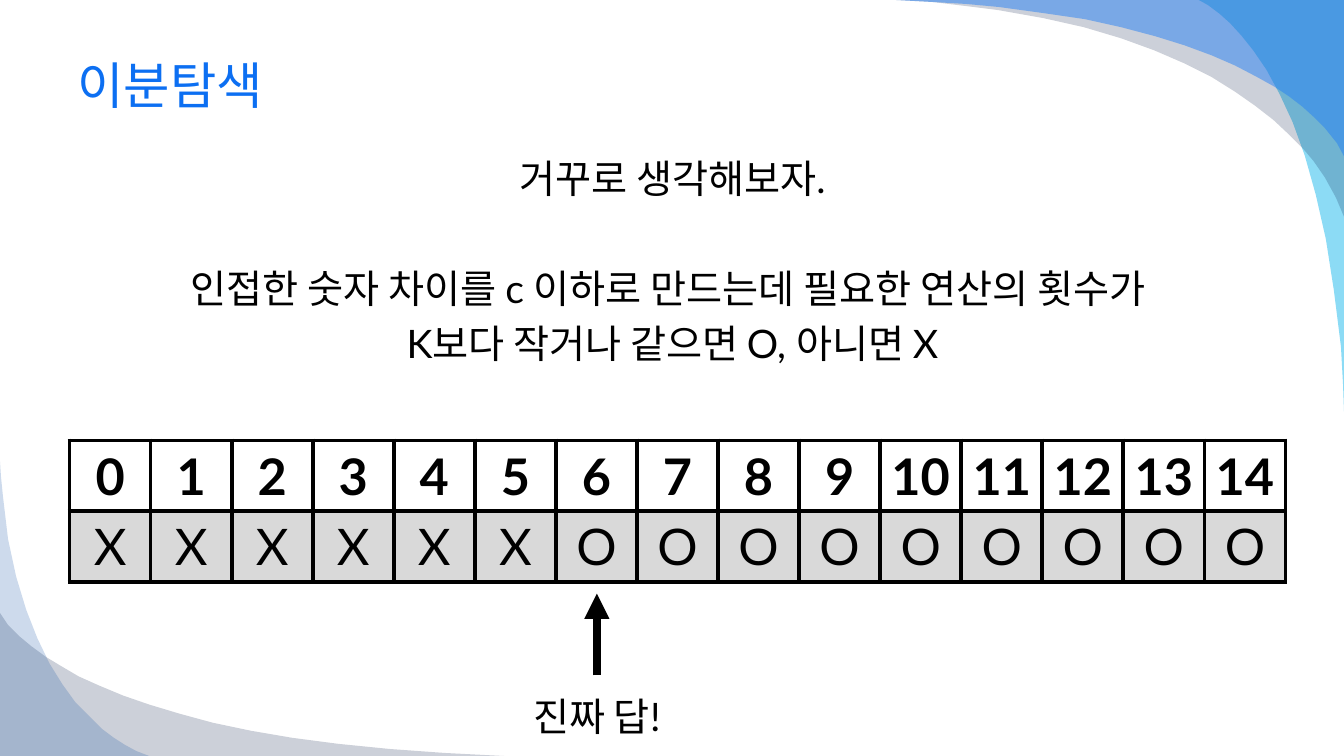
from lxml import etree
from pptx import Presentation
from pptx.dml.color import RGBColor
from pptx.enum.shapes import MSO_CONNECTOR
from pptx.enum.text import MSO_ANCHOR, PP_ALIGN
from pptx.oxml.ns import qn
from pptx.util import Inches, Pt

LEFT, CENTER = PP_ALIGN.LEFT, PP_ALIGN.CENTER
TOP, MIDDLE = MSO_ANCHOR.TOP, MSO_ANCHOR.MIDDLE
STRAIGHT = MSO_CONNECTOR.STRAIGHT

BLACK = RGBColor(0x00, 0x00, 0x00)
WHITE = RGBColor(0xFF, 0xFF, 0xFF)
GRAY = RGBColor(0xD9, 0xD9, 0xD9)
TITLE_BLUE = RGBColor(0x0C, 0x6F, 0xF2)
CYAN = RGBColor(0x00, 0xB1, 0xE9)
NAVY = RGBColor(0x02, 0x17, 0x41)
SKY = RGBColor(0x24, 0x7F, 0xF4)
ROYAL = RGBColor(0x08, 0x4A, 0xA1)

FONT = "Lato"
LINE_GAP = 5.6
SECTION_GAP = 45

TOP_RIGHT = (13.33, 0)
BOTTOM_LEFT = (0, 7.5)

SWOOSHES = [
    (CYAN, 45, TOP_RIGHT, [
        (11.89, 0), (11.98, 0.05), (12.1, 0.14), (12.2, 0.23), (12.31, 0.35),
        (12.43, 0.5), (12.56, 0.69), (12.69, 0.93), (12.82, 1.21), (12.94, 1.54),
        (13.05, 1.93), (13.15, 2.37), (13.23, 2.88), (13.3, 3.44), (13.32, 3.8),
        (13.33, 4.08)]),
    (NAVY, 20, TOP_RIGHT, [
        (8.89, 0), (9.25, 0.02), (9.58, 0.06), (9.9, 0.1), (10.35, 0.18),
        (10.75, 0.27), (11.12, 0.38), (11.45, 0.5), (11.75, 0.63), (12.01, 0.76),
        (12.25, 0.91), (12.45, 1.05), (12.63, 1.19), (12.79, 1.34), (12.92, 1.47),
        (13.03, 1.6), (13.14, 1.76), (13.25, 1.96), (13.33, 2.15)]),
    (SKY, 49, TOP_RIGHT, [
        (8.89, 0), (9.25, 0.02), (9.59, 0.04), (9.91, 0.07), (10.35, 0.13),
        (10.76, 0.19), (11.12, 0.27), (11.46, 0.36), (11.75, 0.45), (12.02, 0.55),
        (12.25, 0.65), (12.46, 0.76), (12.64, 0.86), (12.79, 0.96), (12.92, 1.06),
        (13.03, 1.16), (13.14, 1.27), (13.26, 1.42), (13.33, 1.55)]),
    (NAVY, 20, BOTTOM_LEFT, [
        (0, 6.08), (0.08, 6.2), (0.19, 6.31), (0.31, 6.41), (0.46, 6.52),
        (0.61, 6.61), (0.78, 6.71), (0.98, 6.8), (1.22, 6.9), (1.48, 6.99),
        (1.78, 7.08), (2.11, 7.17), (2.49, 7.25), (2.9, 7.32), (3.36, 7.38),
        (3.86, 7.43), (4.41, 7.47), (5, 7.5)]),
    (ROYAL, 20, BOTTOM_LEFT, [
        (1.48, 7.5), (1.35, 7.45), (1.24, 7.39), (1.13, 7.32), (1.01, 7.23),
        (0.89, 7.11), (0.75, 6.97), (0.62, 6.79), (0.49, 6.58), (0.37, 6.33),
        (0.26, 6.05), (0.16, 5.72), (0.08, 5.35), (0.03, 4.93), (0.01, 4.73),
        (0, 4.58)]),
]


def write(tf, lines, size=28, color=BLACK, bold=False, align=CENTER,
          anchor=TOP, gaps=None):
    tf.word_wrap = True
    tf.vertical_anchor = anchor
    for i, line in enumerate(lines):
        p = tf.paragraphs[0] if i == 0 else tf.add_paragraph()
        p.alignment = align
        if gaps:
            p.space_before = Pt(gaps[i])
        r = p.add_run()
        r.text = line
        r.font.name = FONT
        r.font.size = Pt(size)
        r.font.bold = bold
        r.font.color.rgb = color


def add_text(slide, box, lines, **style):
    sp = slide.shapes.add_textbox(*map(Inches, box))
    write(sp.text_frame, lines, **style)


def add_swoosh(slide, color, opacity, corner, curve):
    points = [(Inches(x), Inches(y)) for x, y in [corner, *curve]]
    builder = slide.shapes.build_freeform(*points[0])
    builder.add_line_segments(points[1:], close=True)
    sp = builder.convert_to_shape()
    sp.shadow.inherit = False
    sp.line.fill.background()
    sp.fill.solid()
    sp.fill.fore_color.rgb = color
    clr = next(sp.element.iter(qn("a:srgbClr")))
    etree.SubElement(clr, qn("a:alpha"), val=str(opacity * 1000))


def add_borders(cell, width):
    tc_pr = cell._tc.get_or_add_tcPr()
    for side in ("lnL", "lnR", "lnT", "lnB"):
        ln = etree.SubElement(tc_pr, qn(f"a:{side}"), w=str(Pt(width)))
        fill = etree.SubElement(ln, qn("a:solidFill"))
        etree.SubElement(fill, qn("a:srgbClr"), val=str(BLACK))


def add_answer_table(slide, rows):
    count = len(rows[0][0])
    frame = slide.shapes.add_table(len(rows), count, Inches(0.69), Inches(4.37),
                                   Inches(12.06), Inches(1.4))
    table = frame.table
    table.first_row = False
    table.horz_banding = False
    for col in table.columns:
        col.width = Inches(12.06 / count)
    for i, (values, fill, bold) in enumerate(rows):
        for j, value in enumerate(values):
            cell = table.cell(i, j)
            add_borders(cell, 3)
            cell.fill.solid()
            cell.fill.fore_color.rgb = fill
            cell.vertical_anchor = MIDDLE
            write(cell.text_frame, [value], size=36, bold=bold, anchor=MIDDLE)


def add_arrow(slide, start, end, width):
    line = slide.shapes.add_connector(STRAIGHT, *map(Inches, start + end))
    line.line.color.rgb = BLACK
    line.line.width = Pt(width)
    etree.SubElement(line.line._get_or_add_ln(), qn("a:tailEnd"), type="triangle")
    etree.SubElement(line.element.spPr, qn("a:effectLst"))


def main():
    prs = Presentation()
    prs.slide_width = Inches(13.33)
    prs.slide_height = Inches(7.5)
    slide = prs.slides.add_slide(prs.slide_layouts[6])

    for swoosh in SWOOSHES:
        add_swoosh(slide, *swoosh)

    add_text(slide, (0.67, 0.33, 12, 1.01), ["이분탐색"], size=36,
             color=TITLE_BLUE, align=LEFT, anchor=MIDDLE)
    add_text(slide, (0.67, 1.48, 12, 2.64),
             ["거꾸로 생각해보자.",
              "인접한 숫자 차이를 c 이하로 만드는데 필요한 연산의 횟수가 ",
              "K보다 작거나 같으면 O, 아니면 X"],
             gaps=[LINE_GAP, SECTION_GAP, LINE_GAP])

    numbers = [str(n) for n in range(15)]
    marks = ["X" if n < 6 else "O" for n in range(15)]
    add_answer_table(slide, [(numbers, WHITE, True), (marks, GRAY, False)])

    add_arrow(slide, (5.92, 6.7), (5.92, 5.89), 6)
    add_text(slide, (4.89, 6.82, 2.06, 0.68), ["진짜 답!"], gaps=[LINE_GAP])

    prs.save("out.pptx")


if __name__ == "__main__":
    main()
